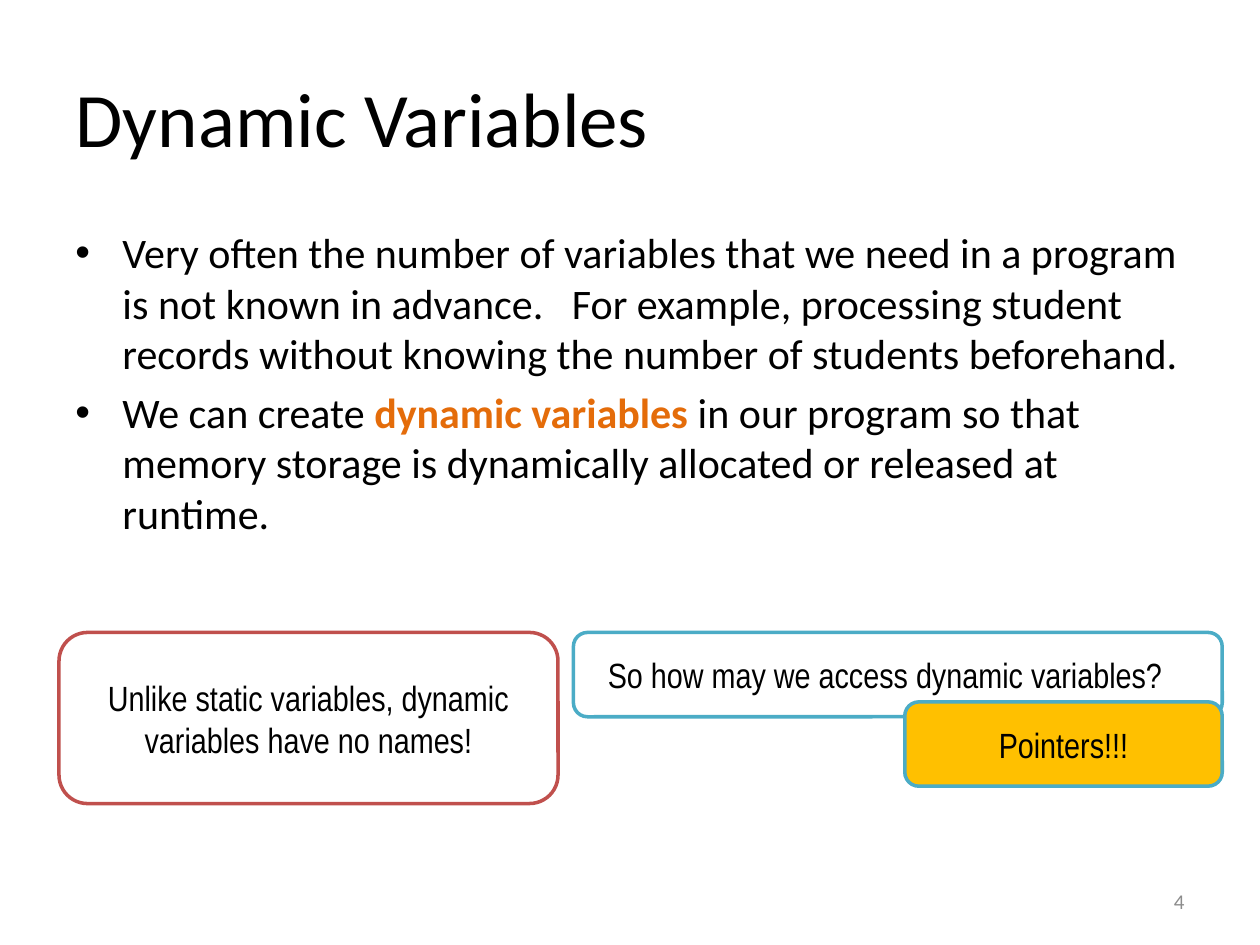
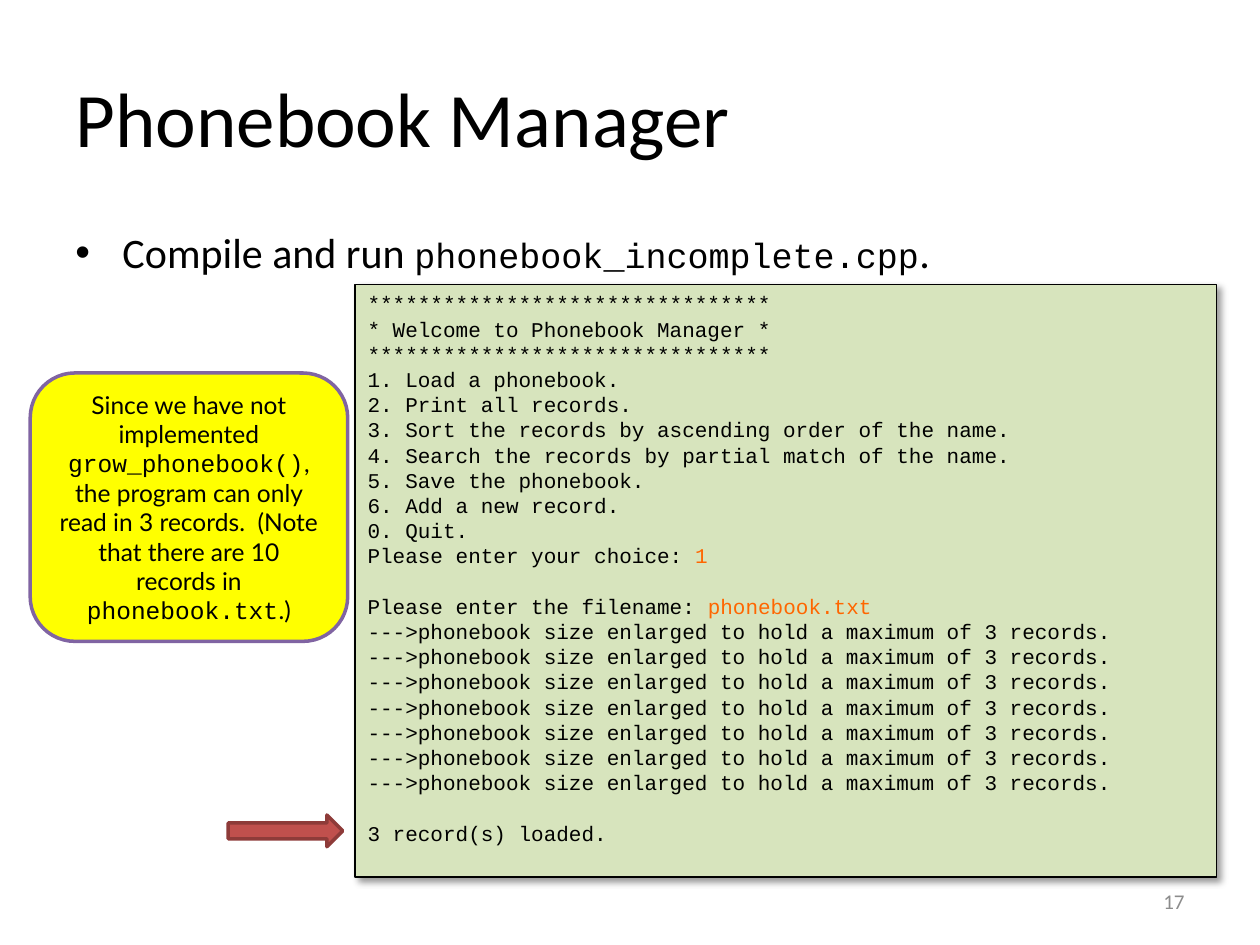
from lxml import etree
from pptx import Presentation
from pptx.dml.color import RGBColor
from pptx.enum.shapes import MSO_SHAPE
from pptx.enum.text import MSO_ANCHOR, PP_ALIGN
from pptx.oxml.ns import qn
from pptx.util import Cm, Pt

ROUNDED, RECTANGLE, ARROW = (MSO_SHAPE.ROUNDED_RECTANGLE, MSO_SHAPE.RECTANGLE,
                             MSO_SHAPE.RIGHT_ARROW)
LEFT, CENTER, RIGHT = PP_ALIGN.LEFT, PP_ALIGN.CENTER, PP_ALIGN.RIGHT
TOP, MIDDLE = MSO_ANCHOR.TOP, MSO_ANCHOR.MIDDLE

BLACK, WHITE, GREY = "000000", "FFFFFF", "8C8C8C"
RED, DARK_RED, TEAL, PURPLE = "C0504D", "8E3B39", "4BACC6", "8064A2"
AMBER, YELLOW, PALE_GREEN = "FFC000", "FFFF00", "D7E4BD"
KEYWORD, USER_INPUT = "E46C0A", "FF6600"
BODY_FONT, CALLOUT_FONT, NOTE_FONT, CODE_FONT = "Calibri", "Arial Narrow", "Lato", "Courier New"

TITLE_BOX = (1.27, 0.76, 22.86, 3.18)
BODY_BOX = (1.27, 4.45, 22.86, 12.57)
NUMBER_BOX = (18.21, 17.65, 5.92, 1.02)
BULLET_INDENT = 0.95
CONSOLE_LINE = 14.4


def rgb(color):
    """Turn a hex string into a colour."""
    return RGBColor.from_string(color)


def lengths(box):
    """Turn a box in centimetres into lengths."""
    return [Cm(value) for value in box]


def format_run(run, font=BODY_FONT, size=24, color=BLACK, bold=False):
    """Give a run its font, size, colour and weight."""
    run.font.name = font
    run.font.size = Pt(size)
    run.font.bold = bold
    run.font.color.rgb = rgb(color)


def write(shape, paragraphs, align=LEFT, anchor=MIDDLE, **run_format):
    """Write paragraphs, each a list of strings or (string, format) pairs, and return them."""
    frame = shape.text_frame
    frame.word_wrap = True
    frame.vertical_anchor = anchor
    for index, parts in enumerate(paragraphs):
        paragraph = frame.add_paragraph() if index else frame.paragraphs[0]
        paragraph.alignment = align
        for part in parts:
            text, changes = (part, {}) if isinstance(part, str) else part
            run = paragraph.add_run()
            run.text = text
            format_run(run, **{**run_format, **changes})
    return frame.paragraphs


def add_box(slide, kind, box, fill, line, line_width=2):
    """Add a filled and outlined preset shape."""
    shape = slide.shapes.add_shape(kind, *lengths(box))
    shape.shadow.inherit = False
    shape.fill.solid()
    shape.fill.fore_color.rgb = rgb(fill)
    shape.line.color.rgb = rgb(line)
    shape.line.width = Pt(line_width)
    return shape


def add_shadow(shape, color, alpha, blur, distance, angle):
    """Give a shape an outer shadow."""
    effects = shape.element.spPr.find(qn("a:effectLst"))
    shadow = etree.SubElement(effects, qn("a:outerShdw"), blurRad=str(Pt(blur)),
                              dist=str(Pt(distance)), dir=str(angle * 60000),
                              algn="tl", rotWithShape="0")
    shade = etree.SubElement(shadow, qn("a:srgbClr"), val=color)
    etree.SubElement(shade, qn("a:alpha"), val=str(alpha * 1000))


def add_bullets(slide, box, paragraphs):
    """Add the bulleted body text."""
    body = slide.shapes.add_textbox(*lengths(box))
    for paragraph in write(body, paragraphs, anchor=TOP):
        paragraph.space_before = Pt(4.8)
        properties = paragraph._p.get_or_add_pPr()
        properties.set("marL", str(Cm(BULLET_INDENT)))
        properties.set("indent", str(-Cm(BULLET_INDENT)))
        etree.SubElement(properties, qn("a:buFont"), typeface="Arial")
        etree.SubElement(properties, qn("a:buChar"), char="•")


def add_page(presentation, title, number, bullets):
    """Add a slide with its title, body text and page number."""
    slide = presentation.slides.add_slide(presentation.slide_layouts[5])
    heading = slide.shapes.title
    heading.left, heading.top, heading.width, heading.height = lengths(TITLE_BOX)
    write(heading, [[title]], size=44)
    add_bullets(slide, BODY_BOX, bullets)
    page_number = slide.shapes.add_textbox(*lengths(NUMBER_BOX))
    write(page_number, [[str(number)]], align=RIGHT, size=12, color=GREY)
    return slide


def add_callouts(slide, box):
    """Add the remark on the left and the overlapping question and answer on the right."""
    left, top, width, height = box
    remark_width, question_width, answer_width, row_height = 10.06, 13.08, 6.4, 1.7
    right = left + width
    callouts = [
        ("Unlike static variables, dynamic variables have no names!",
         (left, top, remark_width, height), WHITE, RED, 0.25),
        ("So how may we access dynamic variables?",
         (right - question_width, top, question_width, row_height), WHITE, TEAL, 0.76),
        ("Pointers!!!",
         (right - answer_width, top + 1.4, answer_width, row_height), AMBER, TEAL, 0.25),
    ]
    for text, place, fill, line, right_margin in callouts:
        callout = add_box(slide, ROUNDED, place, fill, line)
        callout.text_frame.margin_right = Cm(right_margin)
        write(callout, [[text]], align=CENTER, font=CALLOUT_FONT, size=20)


def add_console(slide, box):
    """Add the console window with the program's output."""
    stars = "*" * 32
    menu = ["Load a phonebook.", "Print all records.",
            "Sort the records by ascending order of the name.",
            "Search the records by partial match of the name.",
            "Save the phonebook.", "Add a new record."]
    enlarged = "--->phonebook size enlarged to hold a maximum of 3 records."
    choice = ["Please enter your choice: ", ("1", {"color": USER_INPUT})]
    filename = ["Please enter the filename: ", ("phonebook.txt", {"color": USER_INPUT})]
    loaded = ["3 record(s) loaded."]
    output = [[stars], ["* Welcome to Phonebook Manager *"], [stars],
              *[[f"{index}. {entry}"] for index, entry in enumerate(menu, 1)],
              ["0. Quit."], choice, filename, *[[enlarged]] * 7, loaded]

    console = add_box(slide, RECTANGLE, box, PALE_GREEN, BLACK, line_width=0.75)
    add_shadow(console, BLACK, alpha=40, blur=4, distance=3, angle=45)
    paragraphs = write(console, output, anchor=TOP, font=CODE_FONT, size=12)
    for paragraph, line in zip(paragraphs, output):
        paragraph.line_spacing = Pt(CONSOLE_LINE)
        if line in (filename, loaded):
            paragraph.space_before = Pt(CONSOLE_LINE)


def add_note(slide, box):
    """Add the note that explains the program's output."""
    code = {"font": CODE_FONT}
    note = add_box(slide, ROUNDED, box, YELLOW, PURPLE)
    write(note, [["Since we have not implemented ", ("grow_phonebook()", code),
                  ", the program can only read in 3 records.  (Note that there are 10 records in ",
                  ("phonebook.txt", code), ".)"]],
          align=CENTER, font=NOTE_FONT, size=14)


def build_variables_slide(presentation):
    """Build the slide on dynamic variables."""
    slide = add_page(presentation, "Dynamic Variables", 4, [
        ["Very often the number of variables that we need in a program is not known in advance."
         "   For example, processing student records without knowing the number of students "
         "beforehand."],
        ["We can create ", ("dynamic variables", {"color": KEYWORD, "bold": True}),
         " in our program so that memory storage is dynamically allocated or released at "
         "runtime."],
    ])
    add_callouts(slide, (1.19, 12.75, 23.45, 3.45))


def build_phonebook_slide(presentation):
    """Build the slide on the phonebook program."""
    slide = add_page(presentation, "Phonebook Manager", 17, [
        ["Compile and run ",
         ("phonebook_incomplete.cpp", {"font": CODE_FONT, "size": 20}), "."],
    ])
    add_console(slide, (7.16, 5.74, 17.37, 11.94))
    add_note(slide, (0.61, 7.52, 6.4, 5.41))
    add_box(slide, ARROW, (4.6, 16.43, 2.31, 0.64), RED, DARK_RED)


def main():
    """Build and save the presentation."""
    presentation = Presentation()
    presentation.slide_width, presentation.slide_height = Cm(25.4), Cm(19.05)
    build_variables_slide(presentation)
    build_phonebook_slide(presentation)
    presentation.save("out.pptx")


if __name__ == "__main__":
    main()
